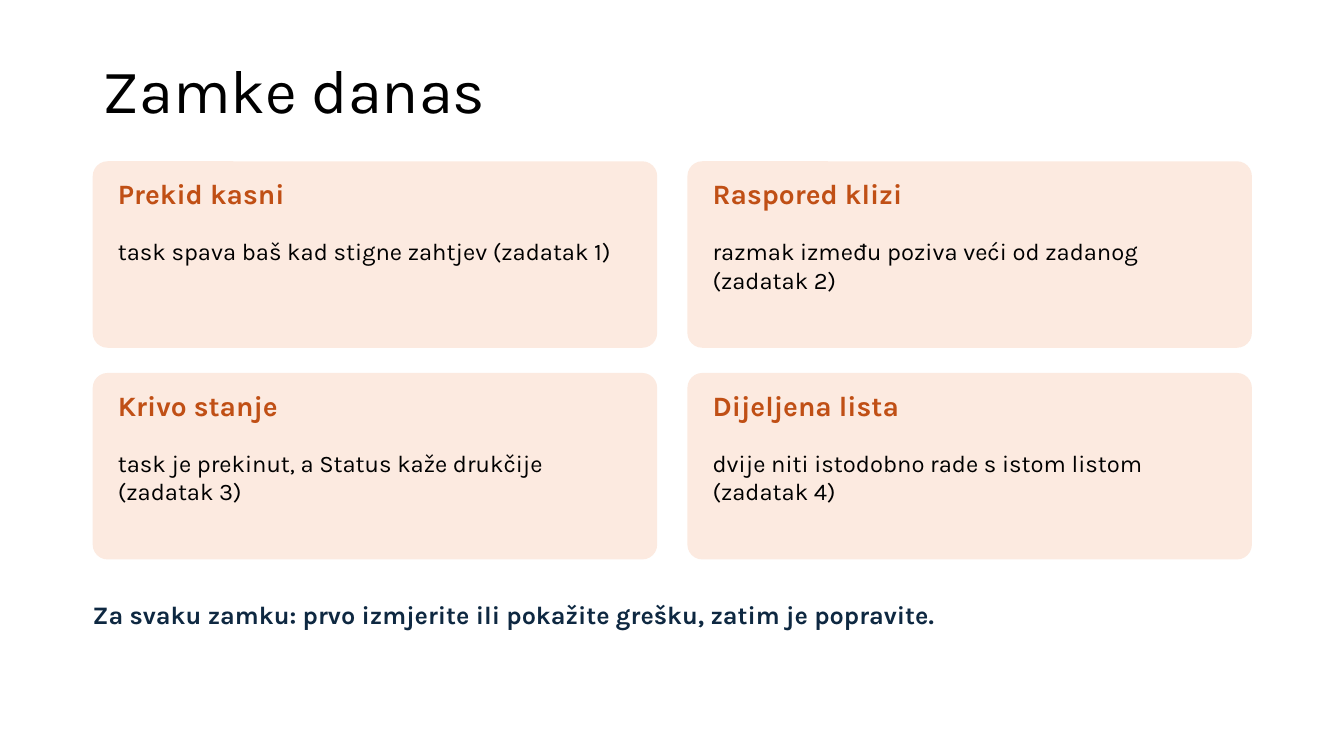
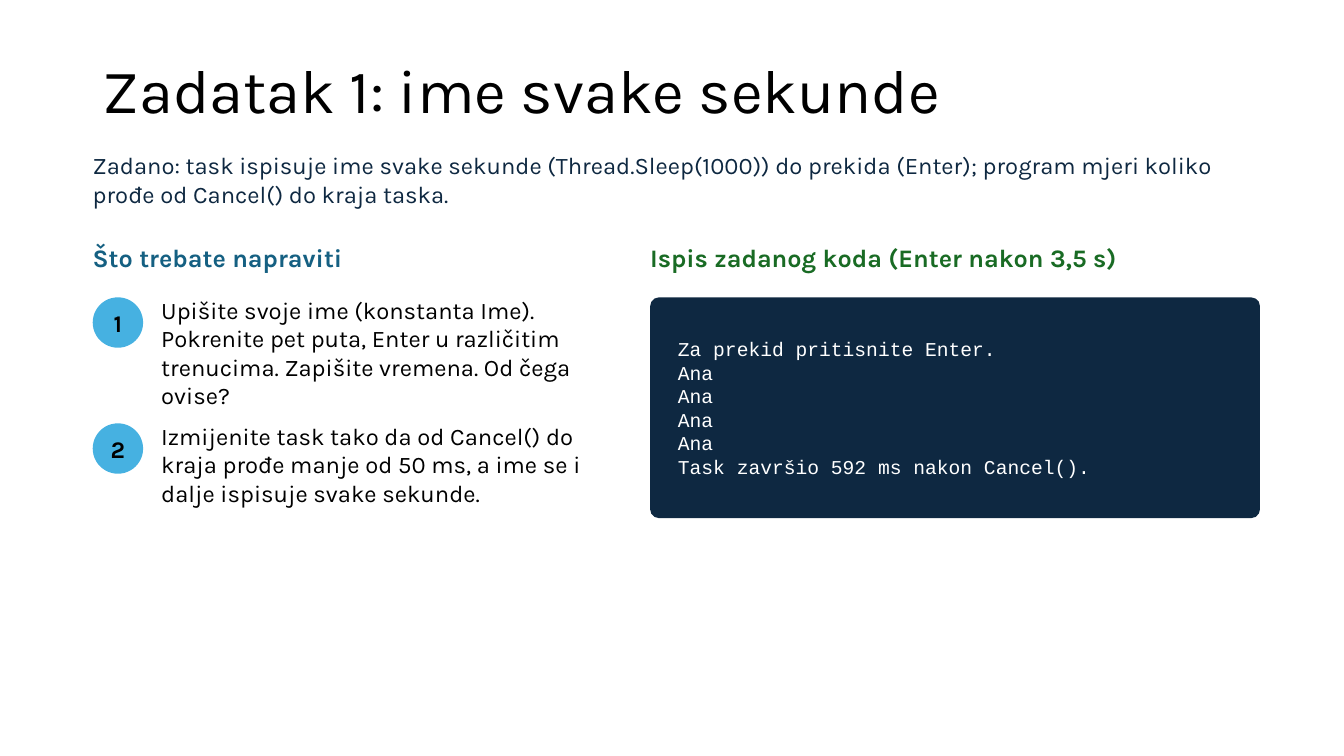
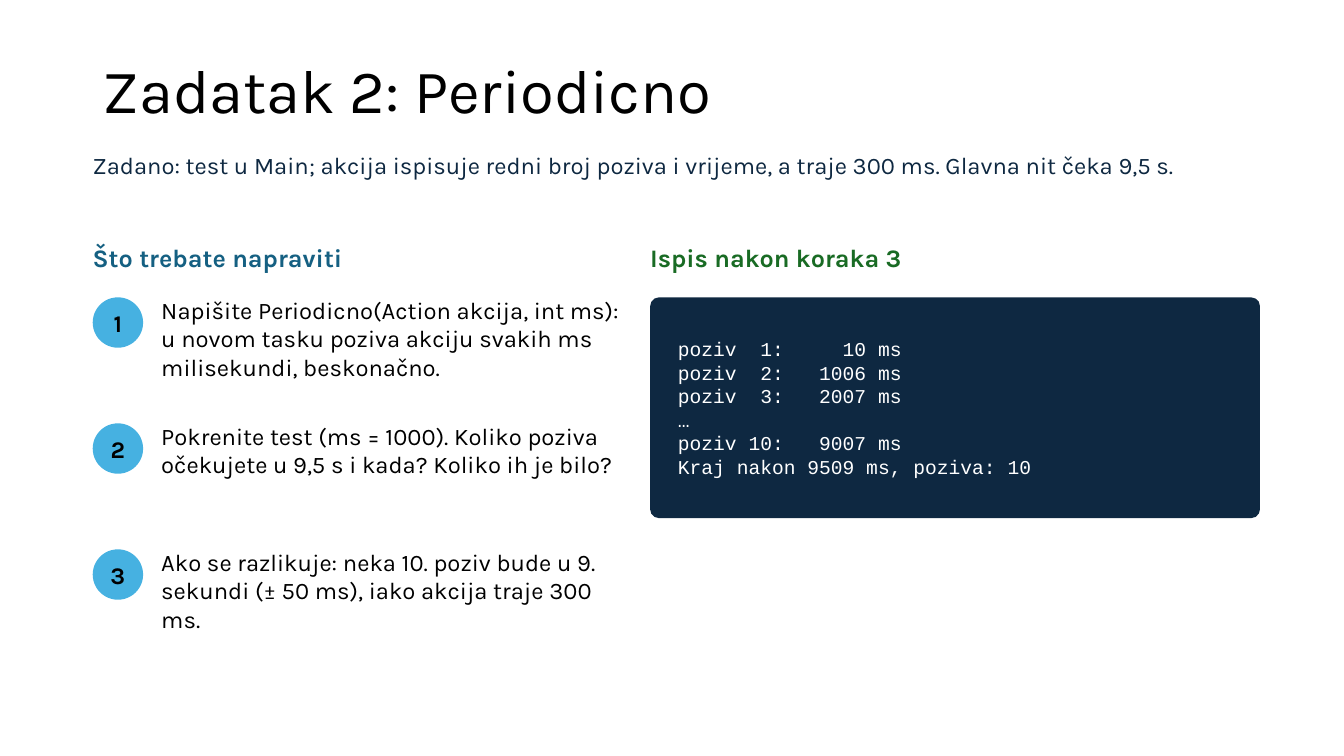
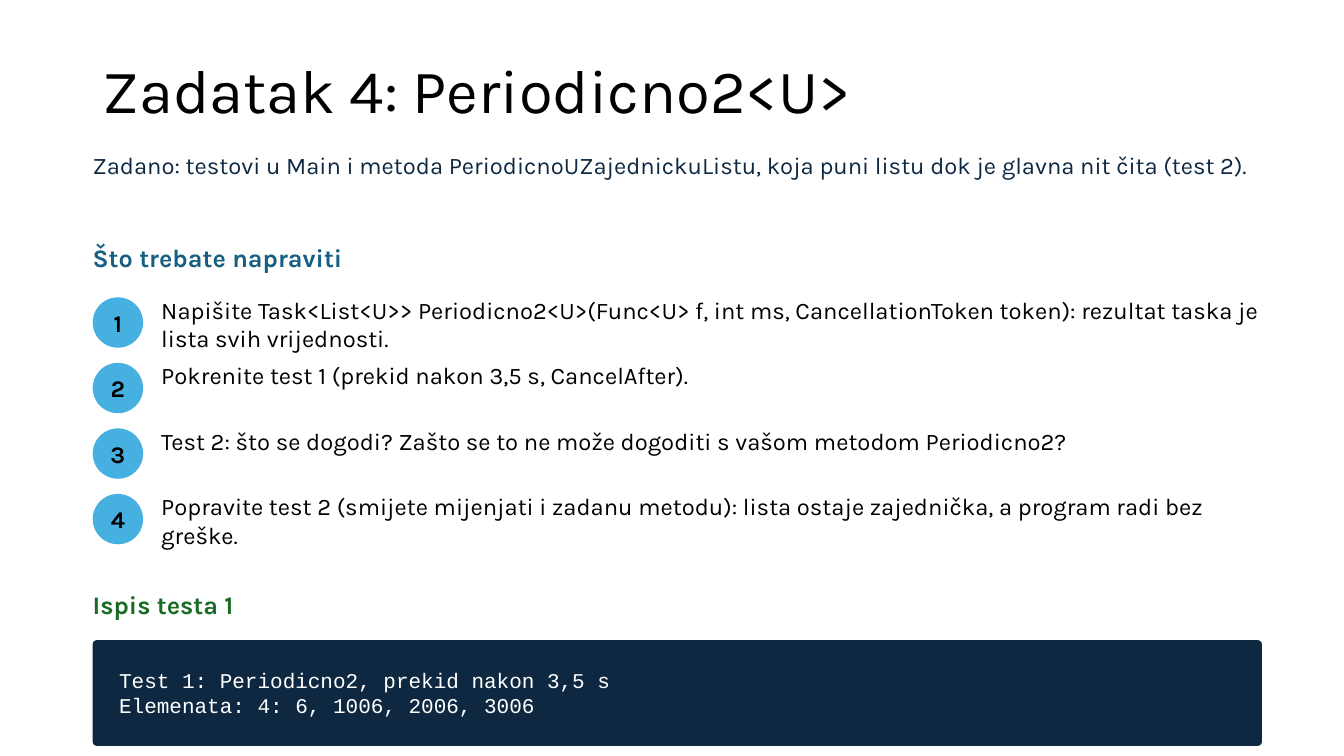
import pptx
import pptx.util
import pptx.dml.color
import pptx.enum.shapes
import pptx.enum.text

Pt = pptx.util.Pt
RGB = pptx.dml.color.RGBColor
SHAPE = pptx.enum.shapes.MSO_SHAPE
ALIGN = pptx.enum.text.PP_ALIGN
ANCHOR = pptx.enum.text.MSO_ANCHOR
FIT = pptx.enum.text.MSO_AUTO_SIZE

COLORS = {
    "black": "000000", "white": "FFFFFF", "navy": "0E2841", "teal": "156082",
    "green": "196B24", "sky": "46B1E1", "rust": "C04F15", "peach": "FCEAE0",
}
STYLES = {
    "title": ("black", {"name": "Karla", "size": Pt(44), "bold": False}),
    "card": ("rust", {"name": "Karla", "size": Pt(20), "bold": True}),
    "body": ("black", {"name": "Karla", "size": Pt(17), "bold": False}),
    "number": ("black", {"name": "Karla", "size": Pt(17), "bold": True}),
    "intro": ("navy", {"name": "Karla", "size": Pt(17), "bold": False}),
    "summary": ("navy", {"name": "Karla", "size": Pt(18), "bold": True}),
    "tasks": ("teal", {"name": "Karla", "size": Pt(18), "bold": True}),
    "output": ("green", {"name": "Karla", "size": Pt(18), "bold": True}),
    "code": ("white", {"name": "Courier New", "size": Pt(14), "bold": False}),
    "large code": ("white", {"name": "Courier New", "size": Pt(15), "bold": False}),
}
LEFT = 66.24
WIDTH = 835.2


def add_text(s, at, text, style, shape=None, insets=(0, 0, 0, 0), align=ALIGN.LEFT):
    """Write one paragraph per line into the shape, or into a new text box."""
    tf = (shape or s.shapes.add_textbox(*map(Pt, at))).text_frame
    tf.word_wrap = True
    tf.auto_size = FIT.NONE if shape else FIT.SHAPE_TO_FIT_TEXT
    tf.vertical_anchor = ANCHOR.MIDDLE if shape else ANCHOR.TOP
    for side, inset in zip(("left", "top", "right", "bottom"), insets):
        setattr(tf, f"margin_{side}", Pt(inset))
    color, font = STYLES[style]
    for i, line in enumerate(text.split("\n")):
        p = tf.add_paragraph() if i else tf.paragraphs[0]
        p.alignment = align
        r = p.add_run()
        r.text = line
        r.font.color.rgb = RGB.from_string(COLORS[color])
        for key, value in font.items():
            setattr(r.font, key, value)
    return tf


def add_filled(s, kind, at, color, rounding=None):
    sp = s.shapes.add_shape(kind, *map(Pt, at))
    sp.shadow.inherit = False
    sp.fill.solid()
    sp.fill.fore_color.rgb = RGB.from_string(COLORS[color])
    sp.line.fill.background()
    if rounding is not None:
        sp.adjustments[0] = rounding
    return sp


prs = pptx.Presentation()
prs.slide_width, prs.slide_height = Pt(960), Pt(540)

# Titles
titles = ["Zamke danas", "Zadatak 1: ime svake sekunde",
          "Zadatak 2: Periodicno", "Zadatak 4: Periodicno2<U>"]
slides = []
for title in titles:
    s = prs.slides.add_slide(prs.slide_layouts[5])
    sp = s.shapes.title
    sp.left, sp.top, sp.width, sp.height = map(Pt, (LEFT, 28.8, 828, 76.32))
    tf = add_text(s, None, title, "title", sp, (7.2, 3.6, 7.2, 3.6))
    tf.paragraphs[0].line_spacing = 0.9
    slides.append(s)

# Cards with today's traps
cards = [
    ("Prekid kasni", "task spava baš kad stigne zahtjev (zadatak 1)"),
    ("Raspored klizi", "razmak između poziva veći od zadanog (zadatak 2)"),
    ("Krivo stanje", "task je prekinut, a Status kaže drukčije (zadatak 3)"),
    ("Dijeljena lista", "dvije niti istodobno rade s istom listom (zadatak 4)"),
]
s = slides[0]
for i, (heading, body) in enumerate(cards):
    row, col = divmod(i, 2)
    x, y = LEFT + col * 424.8, 115.2 + row * 151.2
    add_filled(s, SHAPE.ROUNDED_RECTANGLE, (x, y, 403.2, 133.2), "peach", 0.08)
    add_text(s, (x + 18, y + 10.8, 367.2, 36), heading, "card")
    add_text(s, (x + 18, y + 54, 367.2, 72), body, "body")
add_text(s, (LEFT, 428.4, WIDTH, 57.6),
         "Za svaku zamku: prvo izmjerite ili pokažite grešku, zatim je popravite.",
         "summary")

# Exercises: numbered steps and the program's output
SIDE = {"step": (331.2, 90), "heading": (464.4, 172.8, 435.6, 28.8),
        "panel": (464.4, 212.4, 435.6, 157.68), "style": "code"}
BELOW = {"step": (784.8, 46.8), "heading": (LEFT, 421.2, 475.2, 28.8),
         "panel": (LEFT, 457.2, WIDTH, 75.6), "style": "large code"}
exercises = [
    {
        "place": SIDE,
        "intro": "Zadano: task ispisuje ime svake sekunde (Thread.Sleep(1000)) do prekida "
                 "(Enter); program mjeri koliko prođe od Cancel() do kraja taska.",
        "steps": [
            "Upišite svoje ime (konstanta Ime). Pokrenite pet puta, Enter u različitim "
            "trenucima. Zapišite vremena. Od čega ovise?",
            "Izmijenite task tako da od Cancel() do kraja prođe manje od 50 ms, a ime se i "
            "dalje ispisuje svake sekunde.",
        ],
        "heading": "Ispis zadanog koda (Enter nakon 3,5 s)",
        "code": "Za prekid pritisnite Enter.\nAna\nAna\nAna\nAna\n"
                "Task završio 592 ms nakon Cancel().",
    },
    {
        "place": SIDE,
        "intro": "Zadano: test u Main; akcija ispisuje redni broj poziva i vrijeme, "
                 "a traje 300 ms. Glavna nit čeka 9,5 s.",
        "steps": [
            "Napišite Periodicno(Action akcija, int ms): u novom tasku poziva akciju svakih "
            "ms milisekundi, beskonačno.",
            "Pokrenite test (ms = 1000). Koliko poziva očekujete u 9,5 s i kada? "
            "Koliko ih je bilo?",
            "Ako se razlikuje: neka 10. poziv bude u 9. sekundi (± 50 ms), iako akcija "
            "traje 300 ms.",
        ],
        "heading": "Ispis nakon koraka 3",
        "code": "poziv  1:     10 ms\npoziv  2:   1006 ms\npoziv  3:   2007 ms\n…\n"
                "poziv 10:   9007 ms\nKraj nakon 9509 ms, poziva: 10",
    },
    {
        "place": BELOW,
        "intro": "Zadano: testovi u Main i metoda PeriodicnoUZajednickuListu, koja puni listu "
                 "dok je glavna nit čita (test 2).",
        "steps": [
            "Napišite Task<List<U>> Periodicno2<U>(Func<U> f, int ms, CancellationToken "
            "token): rezultat taska je lista svih vrijednosti.",
            "Pokrenite test 1 (prekid nakon 3,5 s, CancelAfter).",
            "Test 2: što se dogodi? Zašto se to ne može dogoditi s vašom metodom Periodicno2?",
            "Popravite test 2 (smijete mijenjati i zadanu metodu): lista ostaje zajednička, "
            "a program radi bez greške.",
        ],
        "heading": "Ispis testa 1",
        "code": "Test 1: Periodicno2, prekid nakon 3,5 s\nElemenata: 4: 6, 1006, 2006, 3006",
    },
]
for s, exercise in zip(slides[1:], exercises):
    place = exercise["place"]
    add_text(s, (LEFT, 108, WIDTH, 36), exercise["intro"], "intro")
    add_text(s, (LEFT, 172.8, 475.2, 28.8), "Što trebate napraviti", "tasks")
    width, pitch = place["step"]
    for i, step in enumerate(exercise["steps"]):
        y = 212.4 + i * pitch
        sp = add_filled(s, SHAPE.OVAL, (LEFT, y, 36, 36), "sky")
        add_text(s, None, str(i + 1), "number", sp, (3.6, 1.44, 3.6, 1.44), ALIGN.CENTER)
        add_text(s, (115.2, y - 1.44, width, pitch), step, "body")
    add_text(s, place["heading"], exercise["heading"], "output")
    sp = add_filled(s, SHAPE.ROUNDED_RECTANGLE, place["panel"], "navy", 0.04)
    add_text(s, None, exercise["code"], place["style"], sp, (18, 3.6, 7.2, 3.6))

prs.save("out.pptx")
